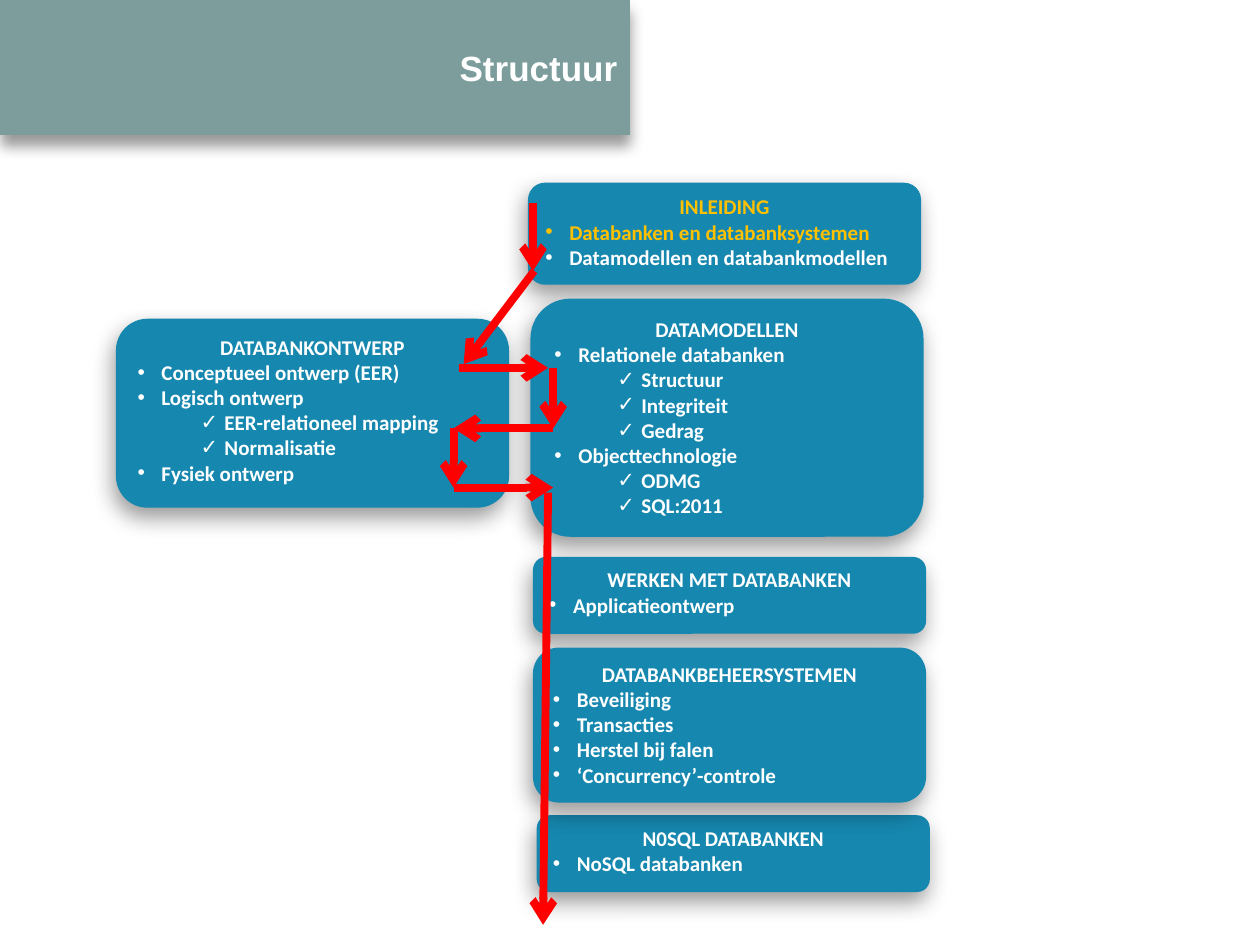
import pptx
import pptx.util
import pptx.dml.color
import pptx.enum.shapes
import pptx.enum.text
import pptx.oxml
import pptx.oxml.ns
from dataclasses import dataclass

Inches = pptx.util.Inches
Pt = pptx.util.Pt
qn = pptx.oxml.ns.qn
RGB = pptx.dml.color.RGBColor.from_string
ALIGN = pptx.enum.text.PP_ALIGN


@dataclass(frozen=True)
class Theme:
    banner: str = "7D9D9D"
    topic: str = "1687AF"
    text: str = "FFFFFF"
    current: str = "FFC000"
    route: str = "FF0000"
    shadow: str = "000000"
    title_size: float = 20
    body_size: float = 12
    route_width: float = 4.5
    title_font: str = "Arial"
    body_font: str = "Calibri"


THEME = Theme()
TOPIC_WIDTH = 3.12
BULLETS = {0: "•", 1: "✓"}

TOPICS = [
    (4.26, 6.47, 0.61, 0, "N0SQL DATABANKEN", [(0, "NoSQL databanken")]),
    (4.19, 1.45, 0.81, 2, "INLEIDING", [
        (0, "Databanken en databanksystemen"),
        (0, "Datamodellen en databankmodellen")]),
    (0.92, 2.53, 1.5, 0, "DATABANKONTWERP", [
        (0, "Conceptueel ontwerp (EER)"),
        (0, "Logisch ontwerp"),
        (1, "EER-relationeel mapping"),
        (1, "Normalisatie"),
        (0, "Fysiek ontwerp")]),
    (4.21, 2.37, 1.89, 0, "DATAMODELLEN", [
        (0, "Relationele databanken"),
        (1, "Structuur"),
        (1, "Integriteit"),
        (1, "Gedrag"),
        (0, "Objecttechnologie"),
        (1, "ODMG"),
        (1, "SQL:2011")]),
    (4.23, 4.42, 0.61, 0, "WERKEN MET DATABANKEN", [(0, "Applicatieontwerp")]),
    (4.23, 5.14, 1.23, 0, "DATABANKBEHEERSYSTEMEN", [
        (0, "Beveiliging"),
        (0, "Transacties"),
        (0, "Herstel bij falen"),
        (0, "‘Concurrency’-controle")]),
]

ROUTE = [
    (4.24, 2.15, 3.68, 2.89),
    (3.64, 2.92, 4.35, 2.92),
    (4.39, 3.4, 3.6, 3.4),
    (3.6, 3.87, 4.39, 3.87),
    (4.39, 2.92, 4.39, 3.4),
    (3.6, 3.4, 3.6, 3.87),
    (4.35, 3.91, 4.31, 7.34),
    (4.23, 1.61, 4.23, 2.15),
]


def set_values(target, values):
    for name, value in values.items():
        setattr(target, name, value)


def add_child(parent, tag, **attributes):
    child = parent.makeelement(qn(tag), attributes)
    parent.append(child)
    return child


def paint(block, color, blur, angle):
    block.fill.solid()
    block.fill.fore_color.rgb = RGB(color)
    block.line.fill.background()
    block.shadow.inherit = False
    effects = block._element.spPr.find(qn("a:effectLst"))
    outer = add_child(effects, "a:outerShdw", blurRad=str(Pt(blur)), dist=str(Pt(6)),
                      dir=str(angle * 60000), rotWithShape="0")
    shade = add_child(outer, "a:srgbClr", val=THEME.shadow)
    add_child(shade, "a:alpha", val="40000")


def write(paragraph, text, color, size, font):
    run = paragraph.add_run()
    run.text = text
    set_values(run.font, {"size": Pt(size), "name": font, "bold": True})
    run.font.color.rgb = RGB(color)


def add_bullet(paragraph, level):
    paragraph.level = level
    properties = paragraph._p.get_or_add_pPr()
    properties.set("marL", str(Inches(0.19 + 0.5 * level)))
    properties.set("indent", str(Inches(-0.19)))
    add_child(properties, "a:buFont", typeface="Arial")
    add_child(properties, "a:buChar", char=BULLETS[level])


def add_title(slide, text):
    title = slide.shapes.title
    set_values(title, {"left": 0, "top": 0, "width": Inches(5), "height": Inches(1.07)})
    paint(title, THEME.banner, 8, 90)
    title.text_frame.vertical_anchor = pptx.enum.text.MSO_ANCHOR.MIDDLE
    heading = title.text_frame.paragraphs[0]
    heading.alignment = ALIGN.RIGHT
    write(heading, text, THEME.text, THEME.title_size, THEME.title_font)


def add_topic(slide, left, top, height, current_lines, heading, items):
    topic = slide.shapes.add_shape(
        pptx.enum.shapes.MSO_SHAPE.ROUNDED_RECTANGLE,
        Inches(left), Inches(top), Inches(TOPIC_WIDTH), Inches(height))
    paint(topic, THEME.topic, 13, 106)
    frame = topic.text_frame
    set_values(frame, {"word_wrap": True,
                       "vertical_anchor": pptx.enum.text.MSO_ANCHOR.TOP})
    for index, (level, text) in enumerate([(None, heading)] + items):
        paragraph = frame.add_paragraph() if index else frame.paragraphs[0]
        paragraph.alignment = ALIGN.LEFT if index else ALIGN.CENTER
        if index:
            add_bullet(paragraph, level)
        color = THEME.current if index < current_lines else THEME.text
        write(paragraph, text, color, THEME.body_size, THEME.body_font)


def add_arrow(slide, *ends):
    arrow = slide.shapes.add_connector(
        pptx.enum.shapes.MSO_CONNECTOR.STRAIGHT, *map(Inches, ends))
    arrow.line.color.rgb = RGB(THEME.route)
    arrow.line.width = Pt(THEME.route_width)
    add_child(arrow.line._get_or_add_ln(), "a:tailEnd", type="arrow")
    add_child(arrow._element.spPr, "a:effectLst")


def main():
    deck = pptx.Presentation()
    set_values(deck, {"slide_width": Inches(10), "slide_height": Inches(7.5)})
    slide = deck.slides.add_slide(deck.slide_layouts[5])
    add_title(slide, "Structuur")
    for topic in TOPICS:
        add_topic(slide, *topic)
    for ends in ROUTE:
        add_arrow(slide, *ends)
    deck.save("out.pptx")


if __name__ == "__main__":
    main()
